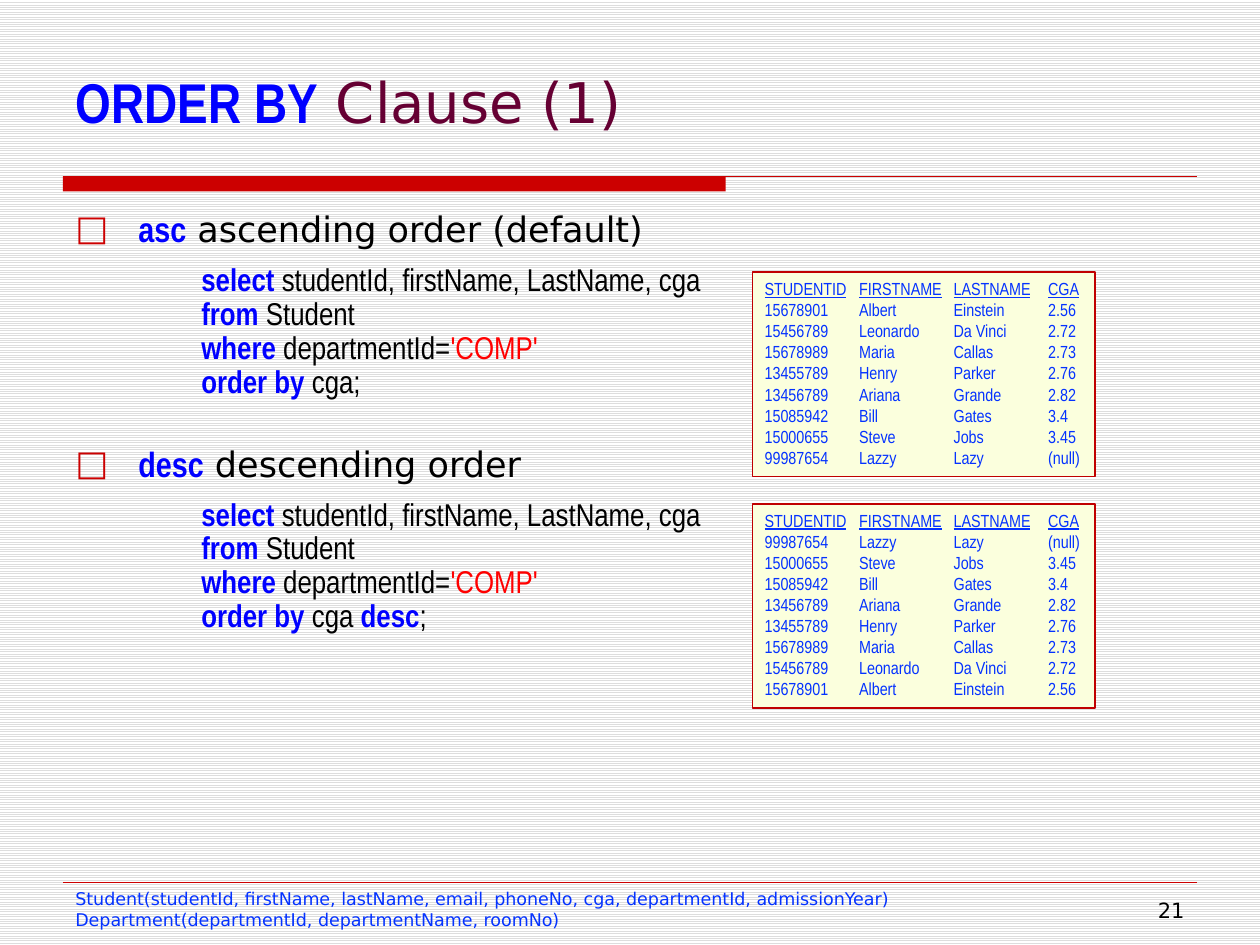
from lxml.etree import SubElement
from pptx import Presentation
from pptx.dml.color import RGBColor
from pptx.enum.dml import MSO_PATTERN
from pptx.enum.shapes import MSO_CONNECTOR, MSO_SHAPE
from pptx.enum.text import MSO_ANCHOR, MSO_AUTO_SIZE, PP_ALIGN
from pptx.oxml.ns import qn
from pptx.util import Inches, Pt

WIDTH, HEIGHT = 10, 7.5
MARGIN = 0.05 * WIDTH
CONTENT_WIDTH = WIDTH - 2 * MARGIN
NARROW, SANS = "Arial Narrow", "DejaVu Sans"
RED, BLUE, BLACK, DATA_BLUE = "CC0000", "0000FF", "000000", "0432FF"

# Run styles: font, colour, bold
KEYWORD = (NARROW, BLUE, True)
CODE = (NARROW, BLACK, False)
LITERAL = (NARROW, "FF0000", False)
PROSE = (SANS, BLACK, False)
HEADING = (SANS, "660033", False)
DATA = (NARROW, DATA_BLUE, False)
SCHEMA = (SANS, DATA_BLUE, False)

QUERY = [
    [("select ", KEYWORD), ("studentId, firstName, LastName, cga", CODE)],
    [("from ", KEYWORD), ("Student", CODE)],
    [("where", KEYWORD), (" departmentId=", CODE), ("'COMP'", LITERAL)],
]
ORDER_ASC = [("order by ", KEYWORD), ("cga;", CODE)]
ORDER_DESC = [("order by ", KEYWORD), ("cga ", CODE), ("desc", KEYWORD), (";", CODE)]

COLUMNS = ["STUDENTID", "FIRSTNAME", "LASTNAME", "CGA"]
STUDENTS = [
    ["15678901", "Albert", "Einstein", "2.56"],
    ["15456789", "Leonardo", "Da Vinci", "2.72"],
    ["15678989", "Maria", "Callas", "2.73"],
    ["13455789", "Henry", "Parker", "2.76"],
    ["13456789", "Ariana", "Grande", "2.82"],
    ["15085942", "Bill", "Gates", "3.4"],
    ["15000655", "Steve", "Jobs", "3.45"],
    ["99987654", "Lazzy", "Lazy", "(null)"],
]
SCHEMAS = [
    "Student(studentId, firstName, lastName, email, phoneNo, cga, departmentId, admissionYear)",
    "Department(departmentId, departmentName, roomNo)",
]


def color(value):
    return RGBColor.from_string(value)


def box(left, top, width, height):
    return [Inches(length) for length in (left, top, width, height)]


def add_runs(paragraph, pieces, size, underline=False):
    for text, (font, tint, bold) in pieces:
        run = paragraph.add_run()
        run.text = text
        run.font.name, run.font.size, run.font.bold = font, Pt(size), bold
        run.font.color.rgb = color(tint)
        if underline:
            run.font.underline = True


def next_paragraph(frame):
    """Return the empty first paragraph of the frame, or a new one."""
    first = frame.paragraphs[0]
    return frame.add_paragraph() if first.runs else first


def set_indent(paragraph, left, hanging):
    properties = paragraph._p.get_or_add_pPr()
    properties.set("marL", str(Inches(left)))
    properties.set("indent", str(Inches(-hanging)))
    return properties


def add_bullet(frame, pieces):
    paragraph = next_paragraph(frame)
    properties = set_indent(paragraph, 0.5, 0.5)
    tint = SubElement(properties, qn("a:buClr"))
    SubElement(tint, qn("a:srgbClr")).set("val", RED)
    SubElement(properties, qn("a:buFont")).set("typeface", SANS)
    SubElement(properties, qn("a:buChar")).set("char", "□")
    if len(frame.paragraphs) > 1:
        paragraph.space_before = Pt(24)
    add_runs(paragraph, pieces, 20)


def add_query(frame, lines):
    for index, pieces in enumerate(lines):
        paragraph = next_paragraph(frame)
        set_indent(paragraph, 1.5, 0.5)
        if index == 0:
            paragraph.space_before = Pt(6)
        else:
            paragraph.line_spacing = 0.9
        add_runs(paragraph, pieces, 18)


def add_result(slide, top, rows):
    panel = slide.shapes.add_shape(MSO_SHAPE.RECTANGLE, *box(5.97, top, 2.72, 1.62))
    panel.shadow.inherit = False
    panel.fill.solid()
    panel.fill.fore_color.rgb = color("FBFFDD")
    panel.line.color.rgb = color("C00000")
    panel.line.width = Pt(0.75)
    frame = panel.text_frame
    frame.word_wrap = False
    frame.auto_size = MSO_AUTO_SIZE.SHAPE_TO_FIT_TEXT
    frame.vertical_anchor = MSO_ANCHOR.TOP
    for index, row in enumerate([COLUMNS, *rows]):
        paragraph = next_paragraph(frame)
        paragraph.alignment = PP_ALIGN.LEFT
        stops = SubElement(paragraph._p.get_or_add_pPr(), qn("a:tabLst"))
        for column in range(1, len(COLUMNS)):
            stop = SubElement(stops, qn("a:tab"))
            stop.set("pos", str(Inches(0.75 * column)))
            stop.set("algn", "l")
        add_runs(paragraph, [("\t".join(row), DATA)], 10, underline=index == 0)


def add_rule(slide, y, weight):
    rule = slide.shapes.add_connector(
        MSO_CONNECTOR.STRAIGHT, Inches(MARGIN), Inches(y), Inches(WIDTH - MARGIN), Inches(y))
    rule.line.color.rgb = color(RED)
    rule.line.width = Pt(weight)
    SubElement(rule._element.spPr, qn("a:effectLst"))


def add_title_bar(slide, top):
    bar = slide.shapes.add_shape(MSO_SHAPE.RECTANGLE, *box(MARGIN, top, 5.26, 0.12))
    bar.shadow.inherit = False
    bar.fill.solid()
    bar.fill.fore_color.rgb = color(RED)
    bar.line.fill.background()
    add_rule(slide, top, 0.75)


def set_title(slide, pieces):
    title = slide.shapes.title
    title.left, title.top, title.width, title.height = box(MARGIN, 0.3, CONTENT_WIDTH, 1)
    title.text_frame.vertical_anchor = MSO_ANCHOR.MIDDLE
    paragraph = title.text_frame.paragraphs[0]
    paragraph.alignment = PP_ALIGN.LEFT
    add_runs(paragraph, pieces, 32)


def add_body(slide):
    frame = slide.shapes.add_textbox(*box(MARGIN, 1.6, CONTENT_WIDTH, 3.52)).text_frame
    frame.word_wrap = True
    add_bullet(frame, [("asc", KEYWORD), (" ascending order (default)", PROSE)])
    add_query(frame, [*QUERY, ORDER_ASC])
    add_bullet(frame, [("desc", KEYWORD), (" descending order", PROSE)])
    add_query(frame, [*QUERY, ORDER_DESC])


def add_footer(slide, number):
    add_rule(slide, 7, 0.25)
    schema = slide.shapes.add_textbox(*box(MARGIN, 7, 6.87, 0.44)).text_frame
    schema.word_wrap = False
    schema.auto_size = MSO_AUTO_SIZE.SHAPE_TO_FIT_TEXT
    for text in SCHEMAS:
        add_runs(next_paragraph(schema), [(text, SCHEMA)], 10)
    page = slide.shapes.add_textbox(*box(7.33, 7.1, 2.17, 0.25)).text_frame
    page.word_wrap = True
    page.vertical_anchor = MSO_ANCHOR.MIDDLE
    page.paragraphs[0].alignment = PP_ALIGN.RIGHT
    add_runs(page.paragraphs[0], [(number, PROSE)], 12)


def main():
    deck = Presentation()
    deck.slide_width, deck.slide_height = Inches(WIDTH), Inches(HEIGHT)
    slide = deck.slides.add_slide(deck.slide_layouts[5])
    backdrop = slide.background.fill
    backdrop.patterned()
    backdrop.pattern = MSO_PATTERN.LIGHT_HORIZONTAL
    backdrop.fore_color.rgb = color("DDDDDD")
    backdrop.back_color.rgb = color("FFFFFF")
    add_title_bar(slide, 1.4)
    set_title(slide, [("ORDER BY", KEYWORD), (" Clause (1)", HEADING)])
    add_body(slide)
    add_result(slide, 2.16, STUDENTS)
    add_result(slide, 4, reversed(STUDENTS))
    add_footer(slide, "21")
    deck.save("out.pptx")


if __name__ == "__main__":
    main()
